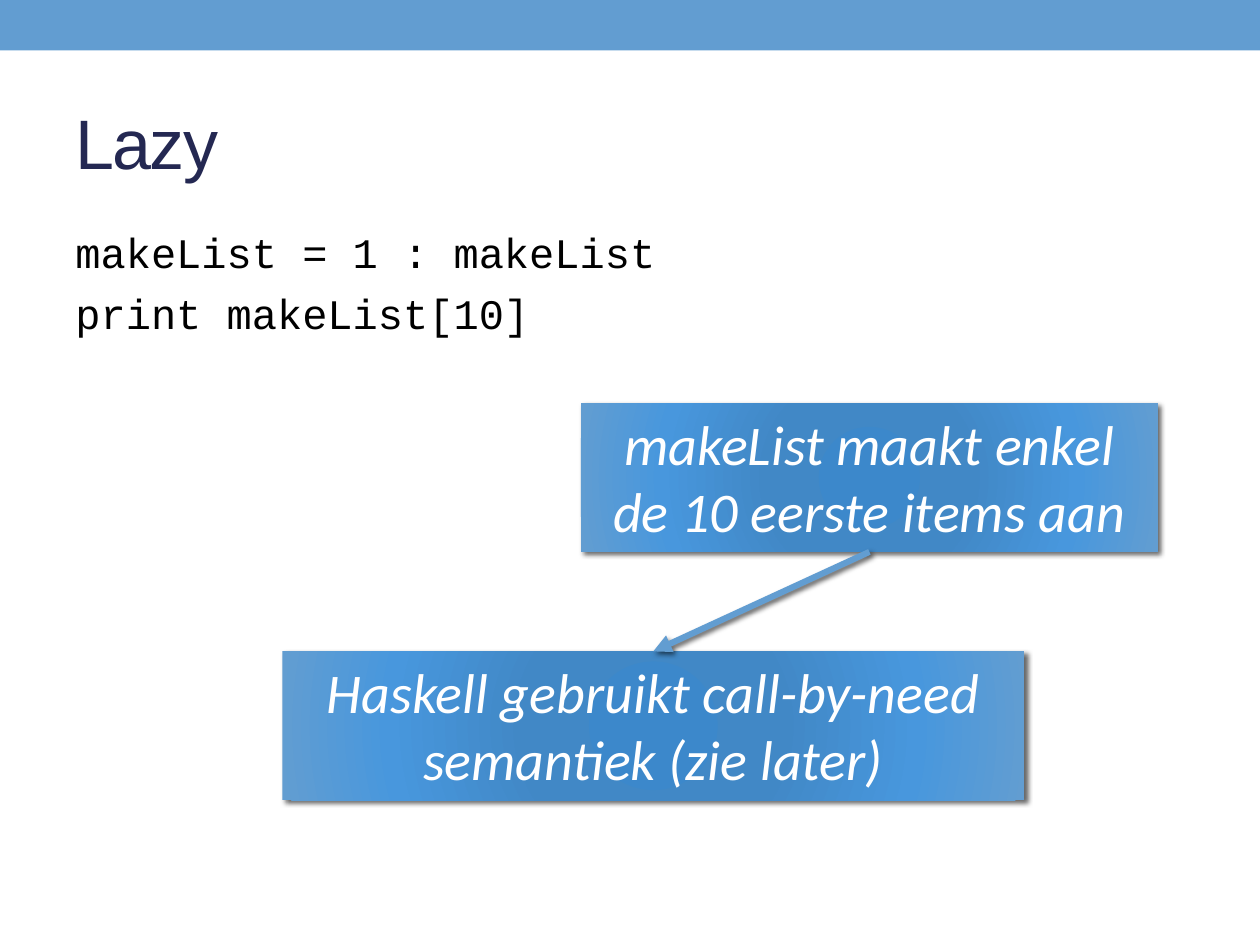
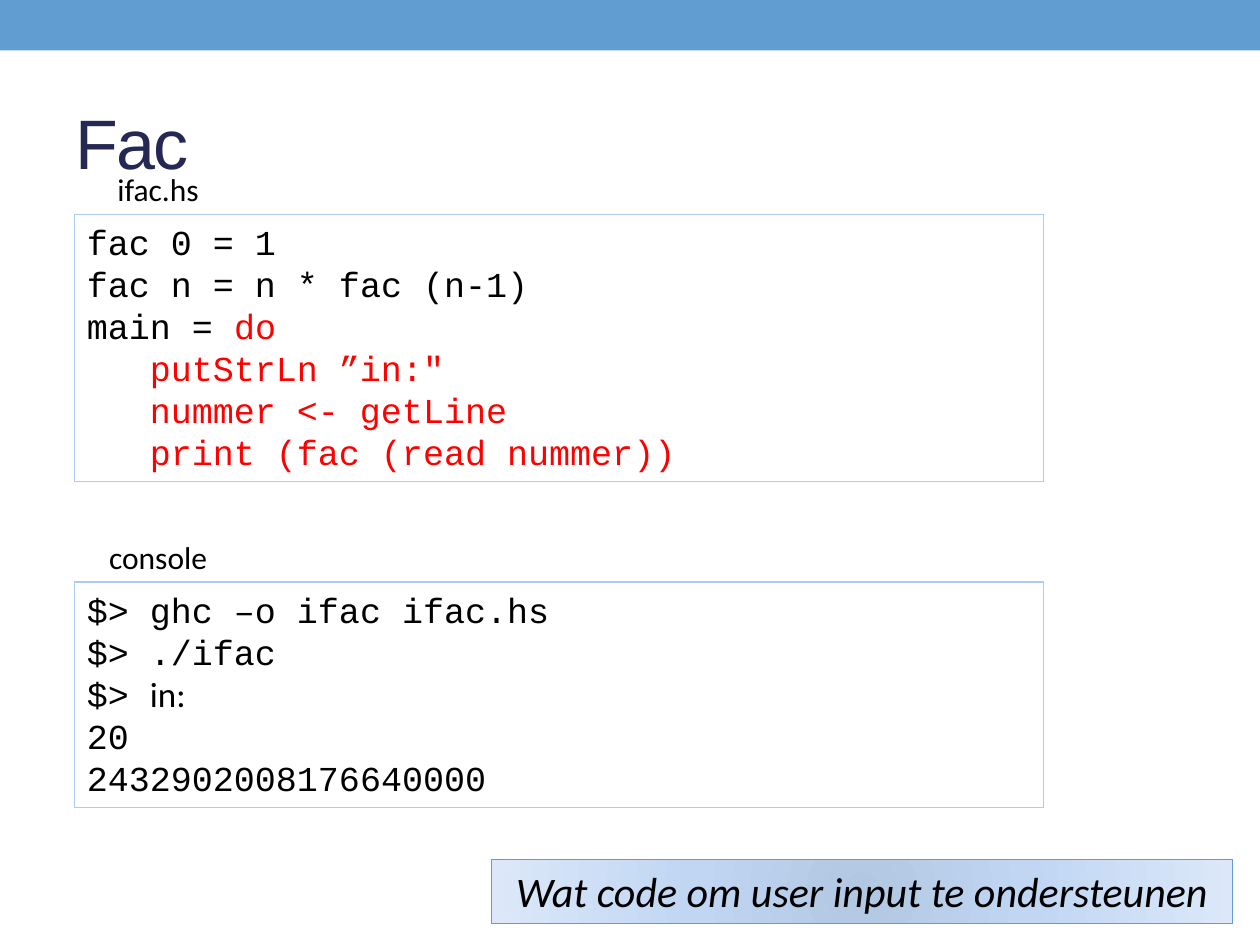
from dataclasses import dataclass

from lxml import etree
from pptx import Presentation
from pptx import util as u
from pptx.dml.color import RGBColor
from pptx.enum import shapes, text
from pptx.oxml import ns


@dataclass(frozen=True)
class Theme:
    band: str = "629DD1"
    title: str = "242852"
    ink: str = "000000"
    paper: str = "FFFFFF"
    keyword: str = "FF0000"
    frame: str = "ACCBF9"
    strong: tuple = ((0, "3C88CB"), (34, "4188C6"), (70, "4897DD"), (100, "629DD1"))
    soft: tuple = ((0, "B2C7E1"), (45, "C0D6F3"), (100, "DCE8F9"))
    heading_font: str = "Arial"
    body_font: str = "Calibri"
    code_font: str = "Courier New"
    title_size: int = 40
    callout_size: int = 32
    large_size: int = 24
    code_size: int = 20
    label_size: int = 18


THEME = Theme()


@dataclass(frozen=True)
class Box:
    left: float
    top: float
    width: float
    height: float

    def lengths(self) -> tuple:
        return tuple(map(u.Inches, (self.left, self.top, self.width, self.height)))


@dataclass(frozen=True)
class Run:
    text: str
    color: str = THEME.ink
    font: str = THEME.code_font


@dataclass(frozen=True)
class Line:
    runs: tuple
    indent: float = 0


@dataclass(frozen=True)
class Callout:
    text: str
    box: Box
    stops: tuple
    size: int
    color: str
    outline: str | None = None
    shadow: bool = False


@dataclass(frozen=True)
class Listing:
    label: str
    top: float
    height: float
    lines: tuple


def code(content: str, color: str = THEME.ink, indent: float = 0) -> Line:
    return Line((Run(content, color),), indent)


def plain(content: str, color: str = THEME.ink, font: str = THEME.body_font) -> tuple:
    return (Line((Run(content, color, font),)),)


LAZY_CODE = (code("makeList = 1 : makeList"), code("print makeList[10]"))

LAZY_CALLOUTS = (
    Callout("makeList maakt enkel de 10 eerste items aan", Box(4.61, 3.2, 4.58, 1.18),
            THEME.strong, THEME.callout_size, THEME.paper, shadow=True),
    Callout("Haskell gebruikt call-by-need semantiek (zie later)", Box(2.24, 5.17, 5.89, 1.18),
            THEME.strong, THEME.callout_size, THEME.paper, shadow=True),
)

FAC_LISTINGS = (
    Listing("ifac.hs", 1.7, 2.12, (
        code("fac 0 = 1"),
        code("fac n = n * fac (n-1)"),
        Line((Run("main = "), Run("do", THEME.keyword))),
        code("putStrLn ”in:\"", THEME.keyword, 0.5),
        code("nummer <- getLine", THEME.keyword, 0.5),
        code("print (fac (read nummer))", THEME.keyword, 0.5),
    )),
    Listing("console", 4.62, 1.79, (
        code("$> ghc –o ifac ifac.hs"),
        code("$> ./ifac"),
        Line((Run("$> "), Run("in:", font=THEME.body_font))),
        code("20"),
        code("2432902008176640000"),
    )),
)

FAC_CALLOUT = Callout("Wat code om user input te ondersteunen", Box(3.9, 6.82, 5.88, 0.51),
                      THEME.soft, THEME.large_size, THEME.ink, outline=THEME.band)


def write_text(shape, lines: tuple, *, size: float, align=text.PP_ALIGN.LEFT,
               anchor=text.MSO_ANCHOR.TOP, italic: bool = False,
               space_before: float = 0, spacing: float = 0) -> None:
    frame = shape.text_frame
    frame.word_wrap = True
    frame.vertical_anchor = anchor
    for index, line in enumerate(lines):
        paragraph = frame.add_paragraph() if index else frame.paragraphs[0]
        paragraph.alignment = align
        paragraph.space_before = u.Pt(space_before)
        if line.indent:
            paragraph._p.get_or_add_pPr().set("marL", str(u.Inches(line.indent)))
        for part in line.runs:
            run = paragraph.add_run()
            run.text = part.text
            run.font.name = part.font
            run.font.size = u.Pt(size)
            run.font.italic = italic
            run.font.color.rgb = RGBColor.from_string(part.color)
            if spacing:
                run.font._element.set("spc", str(int(spacing * 100)))


def add_xml(parent, tag: str, **attributes):
    values = {name: str(value) for name, value in attributes.items()}
    return etree.SubElement(parent, ns.qn(tag), values)


def set_gradient(shape, stops: tuple) -> None:
    shape.fill.gradient()
    gradient = shape.element.spPr.find(ns.qn("a:gradFill"))
    for child in list(gradient):
        gradient.remove(child)
    stop_list = add_xml(gradient, "a:gsLst")
    for position, color in stops:
        stop = add_xml(stop_list, "a:gs", pos=position * 1000)
        add_xml(stop, "a:srgbClr", val=color)
    circle = add_xml(gradient, "a:path", path="circle")
    add_xml(circle, "a:fillToRect", **dict.fromkeys("ltrb", 100000))


def add_shadow(shape) -> None:
    properties = shape.element.spPr
    effects = properties.find(ns.qn("a:effectLst"))
    if effects is None:
        effects = add_xml(properties, "a:effectLst")
    shadow = add_xml(effects, "a:outerShdw", blurRad=u.Pt(3), dist=u.Pt(2),
                     dir=45 * 60000, rotWithShape=0)
    color = add_xml(shadow, "a:srgbClr", val=THEME.ink)
    add_xml(color, "a:alpha", val=60000)


def add_rectangle(slide, box: Box, fill: str | tuple, outline: str | None = None):
    shape = slide.shapes.add_shape(shapes.MSO_SHAPE.RECTANGLE, *box.lengths())
    if isinstance(fill, tuple):
        set_gradient(shape, fill)
    else:
        shape.fill.solid()
        shape.fill.fore_color.rgb = RGBColor.from_string(fill)
    if outline:
        shape.line.color.rgb = RGBColor.from_string(outline)
        shape.line.width = u.Pt(0.75)
    else:
        shape.line.fill.background()
    shape.shadow.inherit = False
    return shape


def add_callout(slide, callout: Callout):
    shape = add_rectangle(slide, callout.box, callout.stops, callout.outline)
    if callout.shadow:
        add_shadow(shape)
    write_text(shape, plain(callout.text, callout.color), size=callout.size,
               align=text.PP_ALIGN.CENTER, italic=True)
    return shape


def add_listing(slide, listing: Listing) -> None:
    left, label_height = 0.59, 0.4
    frame = add_rectangle(slide, Box(left, listing.top, 7.69, listing.height),
                          THEME.paper, THEME.frame)
    write_text(frame, listing.lines, size=THEME.code_size)
    label_box = Box(left, listing.top - label_height, 1.33, label_height)
    label = slide.shapes.add_textbox(*label_box.lengths())
    write_text(label, plain(listing.label), size=THEME.label_size,
               align=text.PP_ALIGN.CENTER)


def add_arrow(slide, source, target) -> None:
    arrow = slide.shapes.add_connector(shapes.MSO_CONNECTOR.STRAIGHT, 0, 0, 0, 0)
    arrow.begin_connect(source, 2)
    arrow.end_connect(target, 0)
    arrow.line.color.rgb = RGBColor.from_string(THEME.band)
    arrow.line.width = u.Pt(3.5)
    add_xml(arrow.element.spPr.find(ns.qn("a:ln")), "a:tailEnd", type="triangle")
    add_shadow(arrow)


def add_titled_slide(presentation, heading: str):
    slide = presentation.slides.add_slide(presentation.slide_layouts[5])
    add_rectangle(slide, Box(0, 0, 10, 0.4), THEME.band)
    title = slide.shapes.title
    title.left, title.top, title.width, title.height = Box(0.5, 0.58, 9, 1.08).lengths()
    write_text(title, plain(heading, THEME.title, THEME.heading_font),
               size=THEME.title_size, anchor=text.MSO_ANCHOR.MIDDLE, spacing=-1)
    return slide


def build_lazy(presentation) -> None:
    slide = add_titled_slide(presentation, "Lazy")
    body = slide.shapes.add_textbox(*Box(0.5, 1.75, 6.25, 4.95).lengths())
    write_text(body, LAZY_CODE, size=THEME.large_size, space_before=6)
    source, target = [add_callout(slide, callout) for callout in LAZY_CALLOUTS]
    add_arrow(slide, source, target)


def build_fac(presentation) -> None:
    slide = add_titled_slide(presentation, "Fac")
    for listing in FAC_LISTINGS:
        add_listing(slide, listing)
    add_callout(slide, FAC_CALLOUT)


def main() -> None:
    presentation = Presentation()
    presentation.slide_width = u.Inches(10)
    presentation.slide_height = u.Inches(7.5)
    build_lazy(presentation)
    build_fac(presentation)
    presentation.save("out.pptx")


if __name__ == "__main__":
    main()
